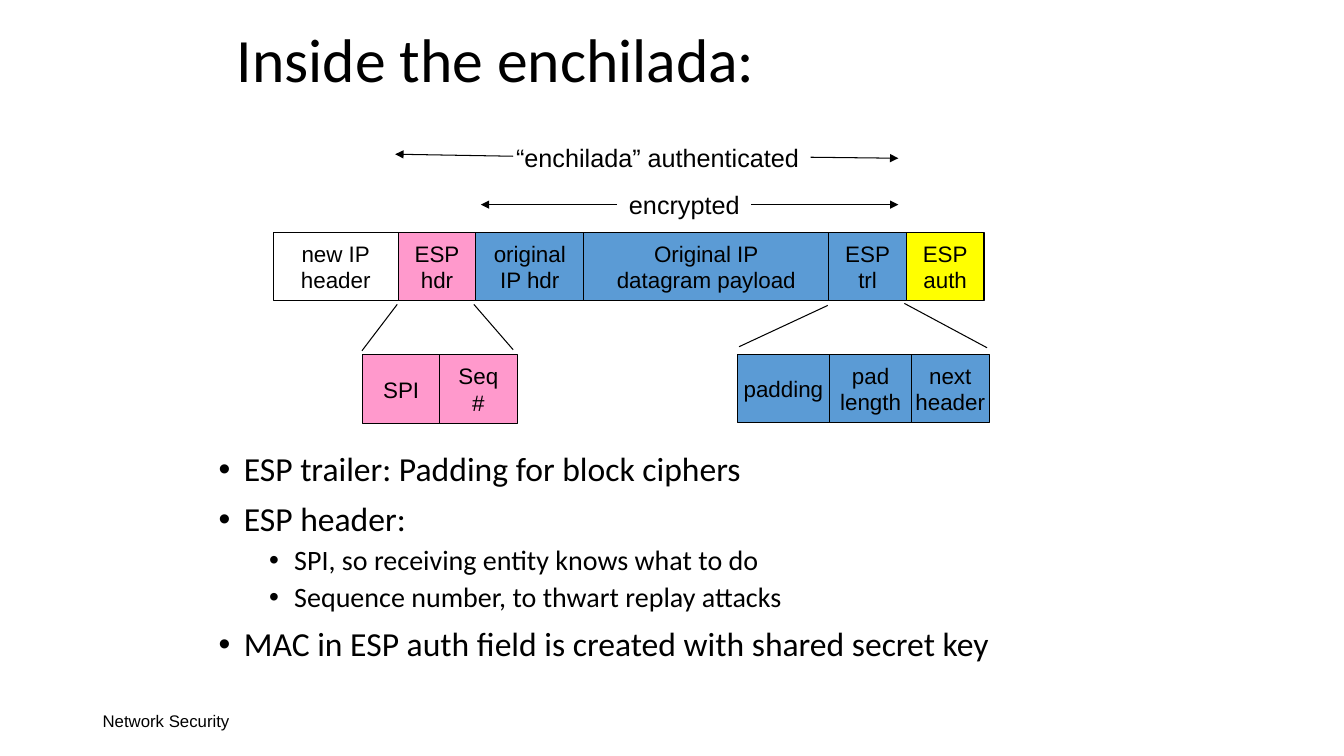
"""Build the slide on the fields inside an ESP packet."""
from lxml.etree import SubElement
from pptx import Presentation
from pptx.dml.color import RGBColor
from pptx.enum.shapes import MSO_CONNECTOR, MSO_SHAPE
from pptx.enum.text import MSO_ANCHOR, PP_ALIGN
from pptx.oxml.ns import qn
from pptx.util import Inches, Pt

BLACK = RGBColor(0x00, 0x00, 0x00)
PINK = RGBColor(0xFF, 0x99, 0xCC)
BLUE = RGBColor(0x5B, 0x9B, 0xD5)
YELLOW = RGBColor(0xFF, 0xFF, 0x00)

TITLE = "Inside the enchilada:"
FOOTER = "Network Security"
POINTS = [
    (0, "ESP trailer: Padding for block ciphers"),
    (0, "ESP header:"),
    (1, "SPI, so receiving entity knows what to do"),
    (1, "Sequence number, to thwart replay attacks"),
    (0, "MAC in ESP auth field is created with shared secret key"),
]
LEVELS = [(0.25, 24, 10), (0.75, 20, 5)]

PACKET = [
    ("new IP\vheader", 1.24, None),
    ("ESP\nhdr", 0.77, PINK),
    ("original\vIP hdr", 1.07, BLUE),
    ("Original IP\ndatagram payload", 2.43, BLUE),
    ("ESP\ntrl", 0.77, BLUE),
    ("ESP\nauth", 0.77, YELLOW),
]
HEADER_FIELDS = [("SPI", 0.76, PINK), ("Seq\n#", 0.77, PINK)]
TRAILER_FIELDS = [
    ("padding", 0.92, BLUE),
    ("pad\vlength", 0.81, BLUE),
    ("next\vheader", 0.77, BLUE),
]
FIELD_ROWS = [
    (2.71, 2.31, 0.67, PACKET),
    (3.6, 3.52, 0.68, HEADER_FIELDS),
    (7.31, 3.52, 0.67, TRAILER_FIELDS),
]
SPANS = [
    ("“enchilada” authenticated", (5.02, 1.36, 3.12, 0.4)),
    ("encrypted", (6.14, 1.83, 1.3, 0.4)),
]
SPAN_ARROWS = [
    (5.09, 1.55, 3.92, 1.53),
    (8.04, 1.56, 8.91, 1.57),
    (6.12, 2.03, 4.77, 2.03),
    (7.45, 2.03, 8.91, 2.03),
]
ZOOM_LINES = [
    (3.59, 3.48, 3.94, 3.02),
    (4.7, 3.02, 5.09, 3.47),
    (7.33, 3.44, 8.21, 3.03),
    (9.79, 3.45, 8.97, 3.01),
]


def style(paragraph, size, face):
    paragraph.font.size = Pt(size)
    paragraph.font.name = face
    paragraph.font.color.rgb = BLACK


def add_text(slide, box, text, size, face, anchor=MSO_ANCHOR.TOP, wrap=True):
    frame = slide.shapes.add_textbox(*map(Inches, box)).text_frame
    frame.word_wrap = wrap
    frame.vertical_anchor = anchor
    frame.text = text
    style(frame.paragraphs[0], size, face)
    return frame


def add_points(slide):
    frame = add_text(slide, (2.07, 4.44, 8.5, 2.59), "", 24, "Calibri")
    for number, (level, text) in enumerate(POINTS):
        indent, size, space = LEVELS[level]
        point = frame.add_paragraph() if number else frame.paragraphs[0]
        point.text = text
        point.level = level
        point.line_spacing = 0.9
        point.space_before = Pt(space if number else 0)
        properties = point._p.get_or_add_pPr()
        properties.set("marL", str(Inches(indent)))
        properties.set("indent", str(Inches(-0.25)))
        SubElement(properties, qn("a:buFont")).set("typeface", "Arial")
        SubElement(properties, qn("a:buChar")).set("char", "•")
        style(point, size, "Calibri")


def add_field(slide, box, text, color):
    field = slide.shapes.add_shape(MSO_SHAPE.RECTANGLE, *map(Inches, box))
    field.shadow.inherit = False
    if color is None:
        field.fill.background()
    else:
        field.fill.solid()
        field.fill.fore_color.rgb = color
    field.line.color.rgb = BLACK
    field.line.width = Pt(0.75)
    frame = field.text_frame
    frame.word_wrap = False
    frame.vertical_anchor = MSO_ANCHOR.MIDDLE
    frame.text = text
    for paragraph in frame.paragraphs:
        paragraph.alignment = PP_ALIGN.CENTER
        style(paragraph, 16, "Arial")


def add_line(slide, ends, arrow=False):
    line = slide.shapes.add_connector(MSO_CONNECTOR.STRAIGHT, *map(Inches, ends))
    line.line.color.rgb = BLACK
    line.line.width = Pt(0.75)
    if arrow:
        SubElement(line.line._get_or_add_ln(), qn("a:tailEnd")).set("type", "triangle")
    SubElement(line._element.spPr, qn("a:effectLst"))


def main():
    deck = Presentation()
    deck.slide_width, deck.slide_height = Inches(13.33), Inches(7.5)
    slide = deck.slides.add_slide(deck.slide_layouts[6])

    add_text(slide, (0.92, 6.95, 3, 0.4), FOOTER, 12, "Arial", MSO_ANCHOR.MIDDLE)
    title = add_text(slide, (2.25, 0, 8.5, 1.25), TITLE, 44, "Calibri", MSO_ANCHOR.MIDDLE)
    title.paragraphs[0].line_spacing = 0.9
    add_points(slide)

    for left, top, height, fields in FIELD_ROWS:
        for text, width, color in fields:
            add_field(slide, (left, top, width, height), text, color)
            left += width
    for text, box in SPANS:
        add_text(slide, box, text, 18, "Arial", wrap=False)
    for ends in SPAN_ARROWS:
        add_line(slide, ends, arrow=True)
    for ends in ZOOM_LINES:
        add_line(slide, ends)

    deck.save("out.pptx")


if __name__ == "__main__":
    main()
